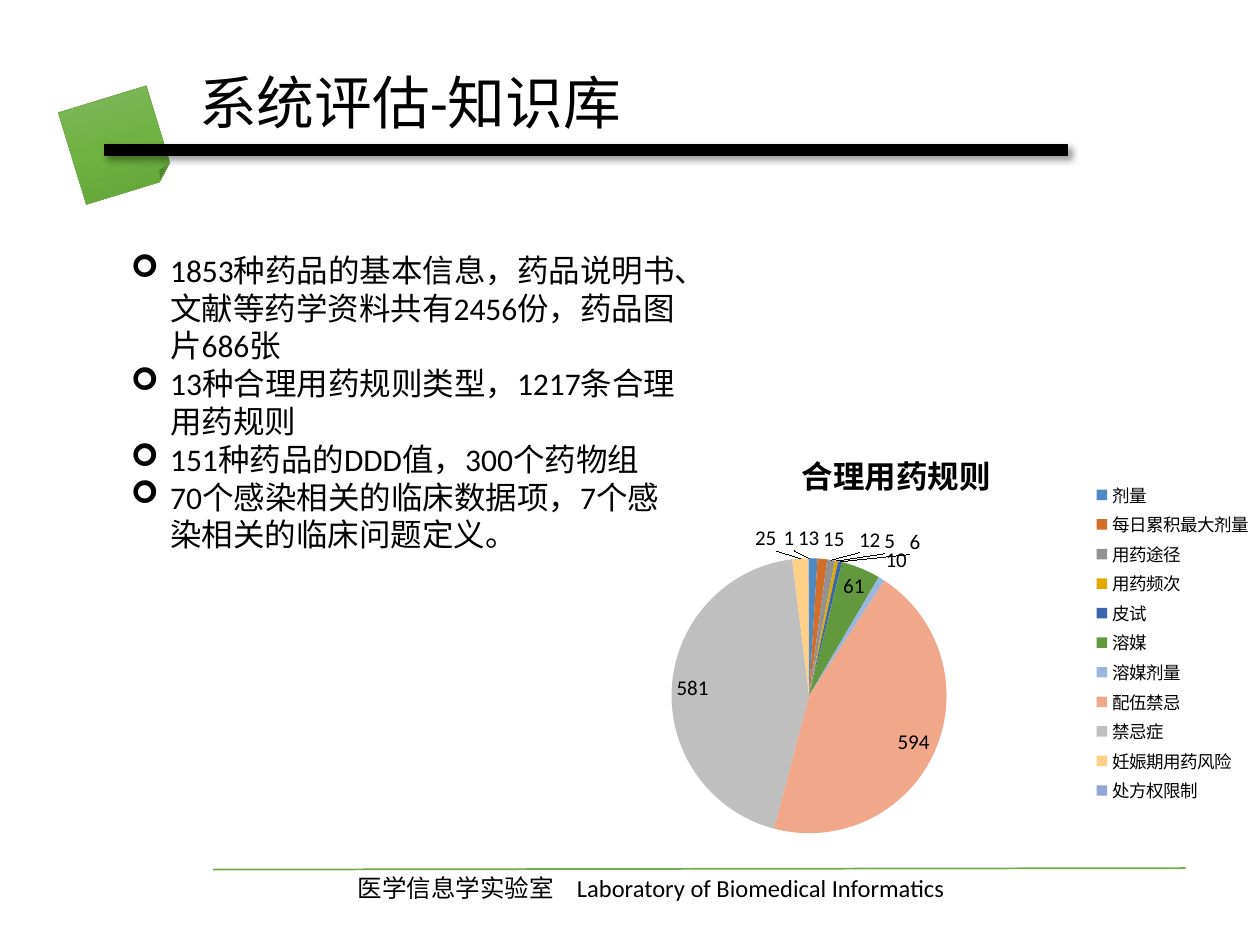
from copy import deepcopy

from lxml.etree import SubElement
from pptx import Presentation
from pptx.chart.data import CategoryChartData
from pptx.dml.color import RGBColor
from pptx.enum.chart import XL_CHART_TYPE, XL_LABEL_POSITION, XL_LEGEND_POSITION
from pptx.enum.shapes import MSO_CONNECTOR, MSO_SHAPE
from pptx.enum.text import MSO_ANCHOR, PP_ALIGN
from pptx.oxml import parse_xml
from pptx.oxml.ns import nsdecls, qn
from pptx.util import Cm, Pt

COLORS = {"text": "000000", "green": "70AD47", "light": "81B861",
          "middle": "6FB242", "dark": "62A336"}
SLICES = {
    "剂量": (13, "4E89C1"),
    "每日累积最大剂量": (15, "D26E2A"),
    "用药途径": (12, "929292"),
    "用药频次": (5, "E2AA00"),
    "皮试": (6, "3B64AE"),
    "溶媒": (61, "62993E"),
    "溶媒剂量": (10, "9AB7E1"),
    "配伍禁忌": (594, "F1A78A"),
    "禁忌症": (581, "BFBFBF"),
    "妊娠期用药风险": (25, "FFD088"),
    "处方权限制": (1, "93A5D8"),
}


def set_font(font, size, bold=False):
    for name, value in {"name": "Calibri", "size": Pt(size), "bold": bold}.items():
        setattr(font, name, value)
    font.color.rgb = RGBColor.from_string(COLORS["text"])


def set_layout(parent, x, y, w, h, inner=False):
    """Place a chart part by fractions of the chart area."""
    for old in parent.findall(qn("c:layout")):
        parent.remove(old)
    layout = parse_xml(f"<c:layout {nsdecls('c')}><c:manualLayout/></c:layout>")
    values = {"layoutTarget": "inner"} if inner else {}
    values |= {"xMode": "edge", "yMode": "edge", "x": x, "y": y, "w": w, "h": h}
    for tag, value in values.items():
        SubElement(layout[0], qn(f"c:{tag}")).set("val", str(value))
    parent.insert(0 if inner else 1, layout)


prs = Presentation()
prs.slide_width, prs.slide_height = Cm(25.4), Cm(19.05)
s = prs.slides.add_slide(prs.slide_layouts[5])

# Green folded note
sp = s.shapes.add_shape(MSO_SHAPE.FOLDED_CORNER, Cm(1.42), Cm(1.96), Cm(1.85), Cm(1.93))
sp.rotation = 343
sp.shadow.inherit = False
sp.fill.gradient()
sp.fill.gradient_angle = 270
stops = sp._element.spPr.find(".//" + qn("a:gsLst"))
stops.insert(1, deepcopy(stops[0]))
for stop, key, pos in zip(sp.fill.gradient_stops, ("light", "middle", "dark"), (0, 0.5, 1)):
    stop.color.rgb = RGBColor.from_string(COLORS[key])
    stop.position = pos
sp.line.color.rgb = RGBColor.from_string(COLORS["green"])
sp.line.width = Pt(0.5)

# Black bar under the title, with a soft shadow
sp = s.shapes.add_shape(MSO_SHAPE.RECTANGLE, Cm(2.11), Cm(2.92), Cm(19.41), Cm(0.2))
sp.fill.solid()
sp.fill.fore_color.rgb = sp.line.color.rgb = RGBColor.from_string(COLORS["text"])
sp.line.width = Pt(1)
sp.shadow.inherit = False
sp._element.spPr.find(qn("a:effectLst")).append(parse_xml(
    f'<a:outerShdw {nsdecls("a")} blurRad="{Pt(4)}" dist="{Pt(3)}" dir="2700000" algn="tl">'
    f'<a:srgbClr val="{COLORS["text"]}"><a:alpha val="40000"/></a:srgbClr></a:outerShdw>'))

# Footer line and text
line = s.shapes.add_connector(MSO_CONNECTOR.STRAIGHT, Cm(4.29), Cm(17.53), Cm(23.9), Cm(17.5))
line.line.color.rgb = RGBColor.from_string(COLORS["green"])
line.line.width = Pt(1)
SubElement(line._element.spPr, qn("a:effectLst"))

tf = s.shapes.add_textbox(Cm(6.96), Cm(17.48), Cm(16.15), Cm(0.86)).text_frame
tf.word_wrap = True
p = tf.paragraphs[0]
tabs = SubElement(p._p.get_or_add_pPr(), qn("a:tabLst"))
SubElement(tabs, qn("a:tab"), pos=str(Cm(4.42)), algn="l")
r = p.add_run()
r.text = "医学信息学实验室\tLaboratory of Biomedical Informatics"
set_font(r.font, 14)

# Title
title = s.shapes.title
title.left, title.top, title.width, title.height = Cm(3.76), Cm(0.13), Cm(22.33), Cm(4.01)
tf = title.text_frame
tf.vertical_anchor = MSO_ANCHOR.MIDDLE
p = tf.paragraphs[0]
p.alignment, p.line_spacing = PP_ALIGN.LEFT, 0.9
r = p.add_run()
r.text = "系统评估-知识库"
set_font(r.font, 33)

# Bulleted findings
tf = s.shapes.add_textbox(Cm(2.39), Cm(4.93), Cm(11.53), Cm(7.95)).text_frame
tf.word_wrap = True
findings = [
    "1853种药品的基本信息，药品说明书、文献等药学资料共有2456份，药品图片686张",
    "13种合理用药规则类型，1217条合理用药规则",
    "151种药品的DDD值，300个药物组",
    "70个感染相关的临床数据项，7个感染相关的临床问题定义。",
]
for i, text in enumerate(findings):
    p = tf.add_paragraph() if i else tf.paragraphs[0]
    pPr = p._p.get_or_add_pPr()
    pPr.set("marL", str(Cm(0.79)))
    pPr.set("indent", str(-Cm(0.79)))
    SubElement(pPr, qn("a:buFont"), typeface="Wingdings")
    SubElement(pPr, qn("a:buChar"), char="➢")
    r = p.add_run()
    r.text = text
    set_font(r.font, 18)

# Pie chart of the rules
data = CategoryChartData()
data.categories = list(SLICES)
data.add_series("合理用药规则", [value for value, _ in SLICES.values()])
chart = s.shapes.add_chart(XL_CHART_TYPE.PIE, Cm(10.74), Cm(8.61), Cm(14.66), Cm(8.53), data).chart
set_font(chart.font, 10)
chart.has_title = True
p = chart.chart_title.text_frame.paragraphs[0]
r = p.add_run()
r.text = "合理用药规则"
set_font(r.font, 18, bold=True)

chart.has_legend = True
chart.legend.position = XL_LEGEND_POSITION.RIGHT
chart.legend.include_in_layout = False
set_font(chart.legend.font, 10)
set_layout(chart.legend._element, 0.76, 0.12, 0.24, 0.78)

plot = chart.plots[0]
plot.vary_by_categories = True
set_layout(chart._chartSpace.chart.plotArea, 0.19, 0.31, 0.38, 0.65, inner=True)
series = plot.series[0]
for i, (_, color) in enumerate(SLICES.values()):
    fill = series.points[i].format.fill
    fill.solid()
    fill.fore_color.rgb = RGBColor.from_string(color)
labels = series.data_labels
labels.show_value = True
labels.position = XL_LABEL_POSITION.BEST_FIT
set_font(labels.font, 12)

prs.save("out.pptx")
